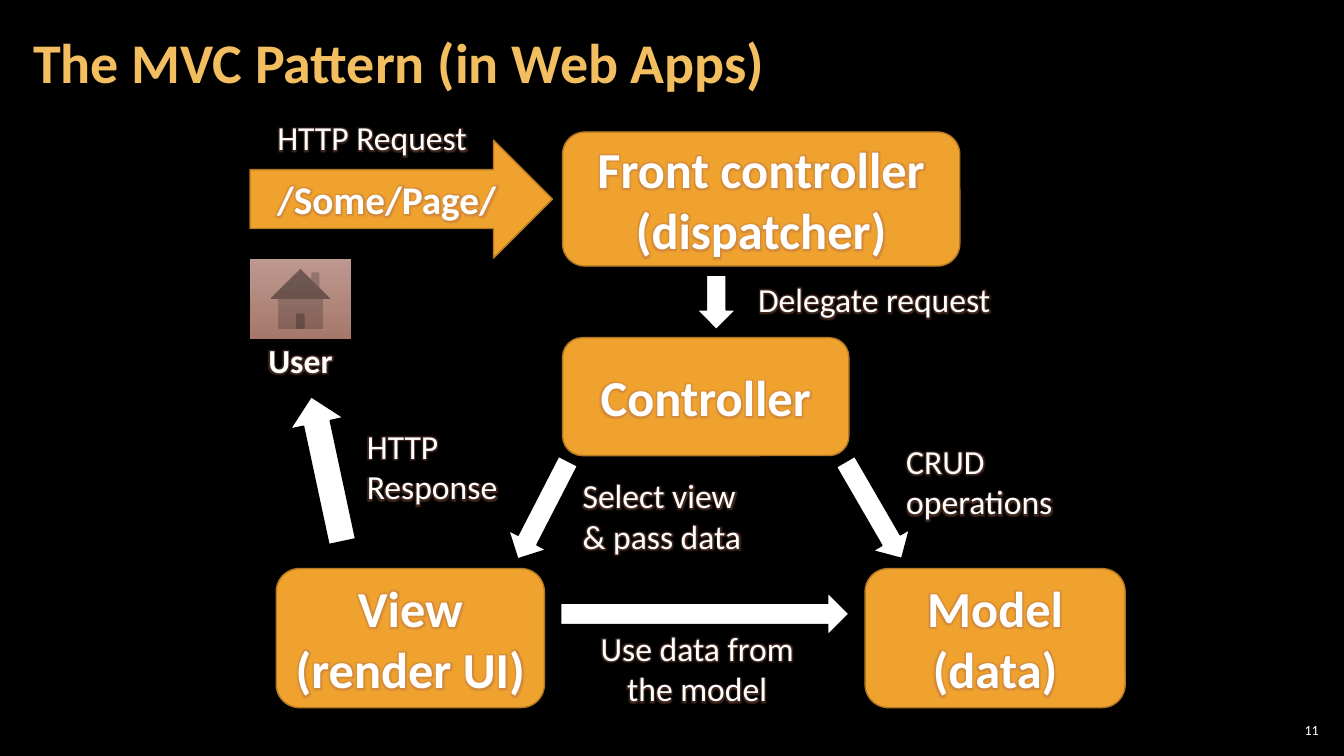
from dataclasses import dataclass

from lxml import etree
from pptx import Presentation
from pptx import util as u
from pptx.dml.color import RGBColor
from pptx.enum import shapes, text
from pptx.oxml import ns

KIND = shapes.MSO_SHAPE
ALIGN = text.PP_ALIGN


@dataclass(frozen=True)
class Theme:
    font: str = "Calibri"
    background: str = "000000"
    title: str = "F3BE60"
    white: str = "FFFFFF"
    box: str = "F0A22E"
    box_line: str = "B27822"
    glow: str = "A5644E"
    home: tuple = ("BD988F", "A6786C")
    title_size: int = 40
    box_size: int = 36
    request_size: int = 28
    label_size: int = 24
    number_size: int = 10


class SlideBuilder:
    def __init__(self, prs, theme):
        self.theme = theme
        self.s = prs.slides.add_slide(prs.slide_layouts[5])
        fill = self.s.background.fill
        fill.solid()
        fill.fore_color.rgb = RGBColor.from_string(theme.background)

    def place(self, at):
        return [u.Inches(v) for v in at]

    def glow(self, r):
        effects = etree.Element(ns.qn("a:effectLst"))
        glow = etree.SubElement(effects, ns.qn("a:glow"), rad="63500")
        color = etree.SubElement(glow, ns.qn("a:srgbClr"), val=self.theme.glow)
        etree.SubElement(color, ns.qn("a:alpha"), val="40000")
        r._r.rPr.find(ns.qn("a:solidFill")).addnext(effects)

    def set_text(self, sp, paragraphs, size, color=None, bold=False,
                 align=ALIGN.CENTER, glow=True):
        tf = sp.text_frame
        tf.word_wrap = True
        tf.auto_size = text.MSO_AUTO_SIZE.NONE
        tf.vertical_anchor = text.MSO_ANCHOR.MIDDLE
        for i, content in enumerate(paragraphs):
            p = tf.add_paragraph() if i else tf.paragraphs[0]
            p.alignment = align
            for j, line in enumerate(content.split("\n")):
                if j:
                    p.add_line_break()
                r = p.add_run()
                r.text = line
                r.font.size = u.Pt(size)
                r.font.bold = bold
                r.font.name = self.theme.font
                r.font.color.rgb = RGBColor.from_string(color or self.theme.white)
                if glow:
                    self.glow(r)
        return tf

    def title(self, at, content):
        sp = self.s.shapes.title
        sp.left, sp.top, sp.width, sp.height = self.place(at)
        tf = self.set_text(sp, [content], self.theme.title_size, self.theme.title,
                           True, ALIGN.LEFT, False)
        tf.margin_left = tf.margin_right = u.Inches(0.12)
        tf.margin_top = tf.margin_bottom = u.Inches(0.04)
        tf.paragraphs[0].line_spacing = 0.9

    def shape(self, kind, at, fill, line):
        sp = self.s.shapes.add_shape(kind, *self.place(at))
        sp.shadow.inherit = False
        sp.fill.solid()
        sp.fill.fore_color.rgb = RGBColor.from_string(fill)
        sp.line.color.rgb = RGBColor.from_string(line)
        sp.line.width = u.Pt(1)
        return sp

    def box(self, at, *paragraphs, kind=KIND.ROUNDED_RECTANGLE, size=None):
        sp = self.shape(kind, at, self.theme.box, self.theme.box_line)
        self.set_text(sp, paragraphs, size or self.theme.box_size, bold=True)

    def arrow(self, kind, at, rotation=0):
        sp = self.shape(kind, at, self.theme.white, self.theme.background)
        sp.rotation = rotation

    def label(self, at, *paragraphs, align=ALIGN.CENTER, bold=False):
        sp = self.s.shapes.add_textbox(*self.place(at))
        self.set_text(sp, paragraphs, self.theme.label_size, bold=bold, align=align)

    def home(self, at):
        sp = self.s.shapes.add_shape(KIND.ACTION_BUTTON_HOME, *self.place(at))
        sp.shadow.inherit = False
        sp.line.fill.background()
        sp.fill.gradient()
        sp.fill.gradient_angle = 270
        for stop, position, color in zip(sp.fill.gradient_stops, (0, 1), self.theme.home):
            stop.position = position
            stop.color.rgb = RGBColor.from_string(color)

    def number(self, at, content):
        sp = self.s.shapes.add_textbox(*self.place(at))
        tf = self.set_text(sp, [content], self.theme.number_size,
                           align=ALIGN.RIGHT, glow=False)
        tf.margin_left = tf.margin_right = u.Inches(0.04)
        tf.margin_top = tf.margin_bottom = u.Inches(0.04)


def main():
    prs = Presentation()
    prs.slide_width, prs.slide_height = u.Inches(13.33), u.Inches(7.5)
    theme = Theme()
    b = SlideBuilder(prs, theme)

    b.title((0.21, 0.04, 10.47, 1.21), "The MVC Pattern (in Web Apps)")
    b.number((12.65, 7.14, 0.47, 0.21), "11")

    b.box((2.48, 1.39, 3, 1.17), "/Some/Page/",
          kind=KIND.RIGHT_ARROW, size=theme.request_size)
    b.box((5.58, 1.31, 3.94, 1.33), "Front controller (dispatcher)")
    b.box((5.58, 3.35, 2.84, 1.17), "Controller")
    b.box((2.74, 5.64, 2.66, 1.38), "View", "(render UI)")
    b.box((8.58, 5.64, 2.58, 1.38), "Model (data)")
    b.home((2.48, 2.57, 1, 0.79))

    b.arrow(KIND.DOWN_ARROW, (6.91, 2.73, 0.39, 0.54))
    b.arrow(KIND.LEFT_ARROW, (4.84, 4.85, 1.09, 0.42), 297.2)
    b.arrow(KIND.LEFT_ARROW, (8.11, 4.85, 1.11, 0.42), 239.9)
    b.arrow(KIND.LEFT_ARROW, (5.56, 5.88, 2.86, 0.42), 180)
    b.arrow(KIND.DOWN_ARROW, (2.97, 3.92, 0.54, 1.47), 167.9)

    b.label((2.48, 1.11, 2.42, 0.5), "HTTP Request")
    b.label((2.48, 3.32, 1, 0.5), "User", bold=True)
    b.label((7.25, 2.73, 2.84, 0.47), "Delegate request")
    b.label((5.5, 6.38, 2.83, 0.5), "Use data from", "the model")
    b.label((3.54, 4.06, 1.75, 1.13), "HTTP\nResponse", align=ALIGN.LEFT)
    b.label((5.68, 4.46, 2.21, 1.31), "Select view\n& pass data", align=ALIGN.LEFT)
    b.label((8.89, 4.32, 1.67, 0.91), "CRUD operations", align=ALIGN.LEFT)

    prs.save("out.pptx")


if __name__ == "__main__":
    main()
